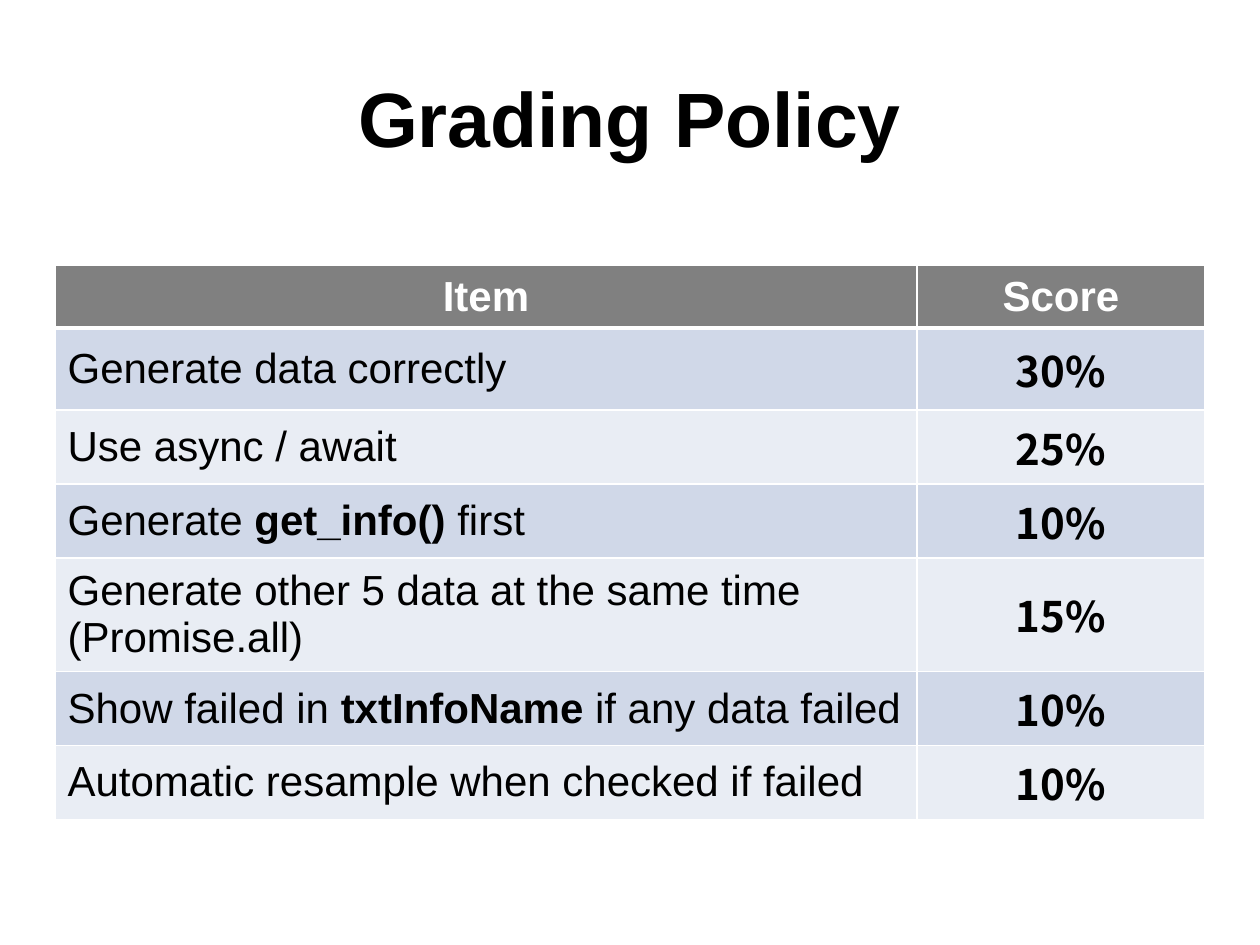
from lxml.etree import SubElement
from pptx import Presentation
from pptx.dml.color import RGBColor
from pptx.enum.text import MSO_ANCHOR, PP_ALIGN
from pptx.oxml.ns import qn
from pptx.util import Pt

PX = 914400 / 126
SANS, CJK = "Arial", "Noto Sans CJK SC"
BLACK, WHITE, GRAY = "000000", "FFFFFF", "808080"
BANDS = ("D0D8E8", "E9EDF4")
COLUMNS = (862, 288)
ROW_HEIGHTS = (58, 82, 74, 74, 106, 74, 74)
GRADES = (
    ("Generate data correctly", "30%"),
    ("Use async / await", "25%"),
    ("Generate **get_info()** first", "10%"),
    ("Generate other 5 data at the same time (Promise.all)", "15%"),
    ("Show failed in **txtInfoName** if any data failed", "10%"),
    ("Automatic resample when checked if failed", "10%"),
)


def px(n):
    """Turn pixels into EMU."""
    return round(n * PX)


def color(value):
    """Turn a hex string into a colour."""
    return RGBColor.from_string(value)


def write(tf, text, size=24, font=SANS, fill=BLACK, bold=False, align=PP_ALIGN.CENTER):
    """Write one paragraph, with **marked** parts in bold."""
    p = tf.paragraphs[0]
    p.alignment = align
    for i, part in enumerate(text.split("**")):
        r = p.add_run()
        r.text = part
        r.font.name = font
        r.font.size = Pt(size)
        r.font.bold = bold or i % 2 == 1
        r.font.color.rgb = color(fill)


def style_cell(cell, fill, bottom=1):
    """Give a cell white borders, a fill and middle anchoring."""
    tc_pr = cell._tc.get_or_add_tcPr()
    for side, width in (("L", 1), ("R", 1), ("T", 1), ("B", bottom)):
        ln = SubElement(tc_pr, qn(f"a:ln{side}"), w=str(Pt(width)))
        SubElement(SubElement(ln, qn("a:solidFill")), qn("a:srgbClr"), val=WHITE)
    cell.fill.solid()
    cell.fill.fore_color.rgb = color(fill)
    cell.vertical_anchor = MSO_ANCHOR.MIDDLE


def add_title(s, text, x, y, w, h):
    """Place the slide title in its box."""
    tf = s.shapes.add_textbox(px(x), px(y), px(w), px(h)).text_frame
    tf.word_wrap = True
    tf.vertical_anchor = MSO_ANCHOR.MIDDLE
    write(tf, text, size=44, bold=True)


def add_grading_table(s, x, y):
    """Place the table of graded items and scores."""
    table = s.shapes.add_table(
        len(ROW_HEIGHTS), len(COLUMNS), px(x), px(y), px(sum(COLUMNS)), px(sum(ROW_HEIGHTS))
    ).table
    for column, width in zip(table.columns, COLUMNS):
        column.width = px(width)
    for row, height in zip(table.rows, ROW_HEIGHTS):
        row.height = px(height)
    for cell, text in zip(table.rows[0].cells, ("Item", "Score")):
        style_cell(cell, GRAY, bottom=3)
        write(cell.text_frame, text, fill=WHITE, bold=True)
    for i, (item, score) in enumerate(GRADES):
        item_cell, score_cell = table.rows[i + 1].cells
        for cell in (item_cell, score_cell):
            style_cell(cell, BANDS[i % 2])
        write(item_cell.text_frame, item, align=PP_ALIGN.LEFT)
        write(score_cell.text_frame, score, font=CJK, bold=True)


def main():
    """Build the grading policy slide."""
    prs = Presentation()
    prs.slide_width, prs.slide_height = px(1260), px(945)
    s = prs.slides.add_slide(prs.slide_layouts[6])
    add_title(s, "Grading Policy", 63, 38, 1134, 158)
    add_grading_table(s, 55, 265)
    prs.save("out.pptx")


if __name__ == "__main__":
    main()
